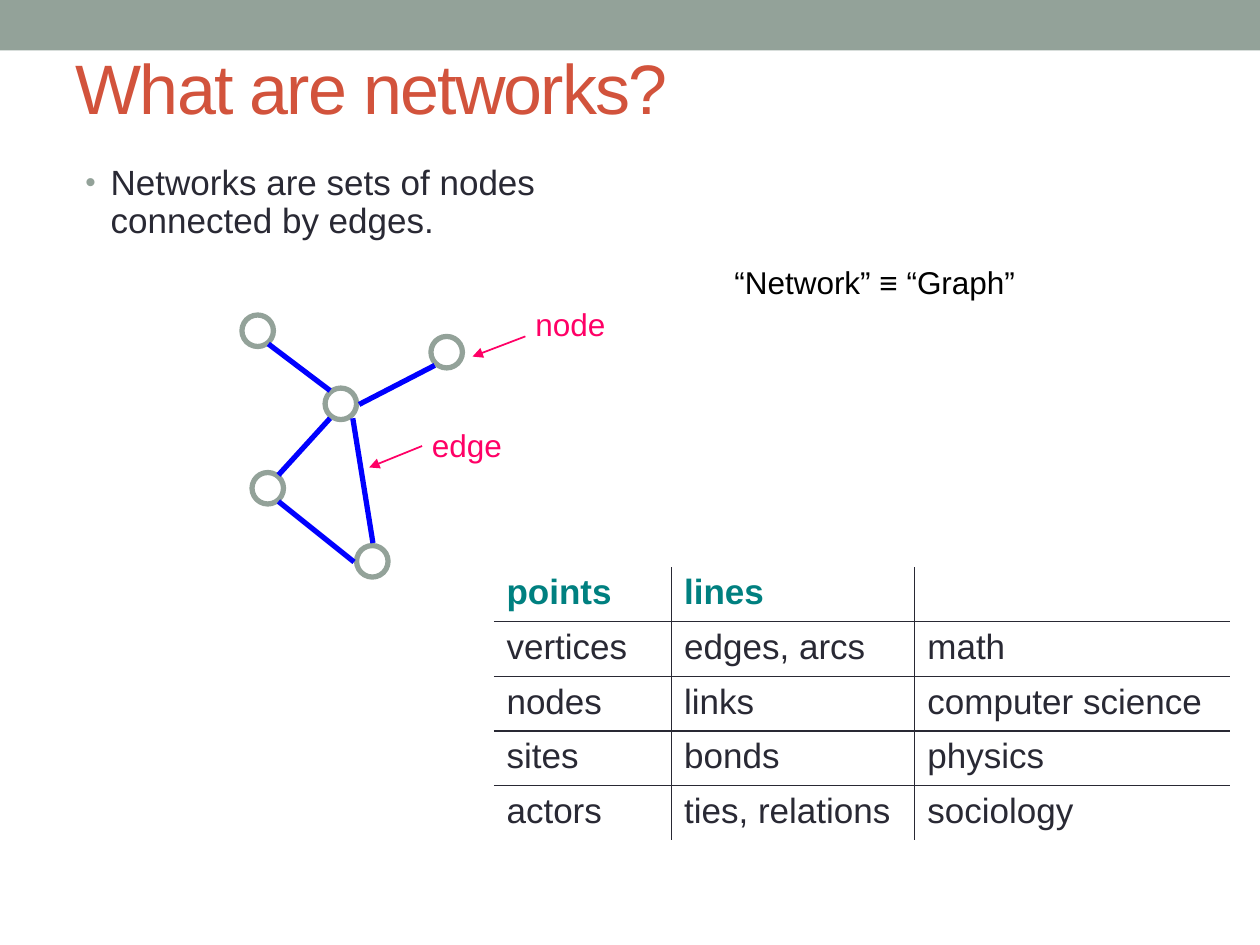
import pptx
import pptx.util
import pptx.dml.color
import pptx.enum.shapes
import pptx.enum.text
import pptx.oxml
import pptx.oxml.ns
from lxml import etree

Inches, Pt = pptx.util.Inches, pptx.util.Pt
Shape = pptx.enum.shapes.MSO_SHAPE
Rgb = pptx.dml.color.RGBColor.from_string
qn = pptx.oxml.ns.qn

theme = {
    "sage": "93A299", "rust": "D2533C", "dark": "292934", "teal": "008080",
    "black": "000000", "blue": "0000FF", "pink": "FF0066",
    "title": 40, "body": 20, "label": 18, "font": "Arial",
}


def put(frame, text, size, hue, bold=False):
    """Write one styled run and return its paragraph."""
    para = frame.paragraphs[0]
    run = para.add_run()
    run.text = text
    style = {"name": theme["font"], "size": Pt(theme[size]), "bold": bold}
    for key, val in style.items():
        setattr(run.font, key, val)
    run.font.color.rgb = Rgb(theme[hue])
    return para


def draw(shapes, start, end, hue, width):
    """Draw a straight line and return its line properties."""
    ends = [Inches(val) for val in (*start, *end)]
    line = shapes.add_connector(pptx.enum.shapes.MSO_CONNECTOR.STRAIGHT, *ends)
    line.line.color.rgb = Rgb(theme[hue])
    line.line.width = Pt(width)
    props = line._element.spPr
    etree.SubElement(props, qn("a:effectLst"))
    return props.find(qn("a:ln"))


deck = pptx.Presentation()
deck.slide_width, deck.slide_height = Inches(10), Inches(7.5)
slide = deck.slides.add_slide(deck.slide_layouts[5])

# Top band
band = slide.shapes.add_shape(Shape.RECTANGLE, 0, 0, Inches(10), Inches(0.4))
band.shadow.inherit = False
band.fill.solid()
band.fill.fore_color.rgb = Rgb(theme["sage"])
band.line.fill.background()

# Title
title = slide.shapes.title
place = {"left": 0.5, "top": 0.3, "width": 9, "height": 0.77}
for key, val in place.items():
    setattr(title, key, Inches(val))
frame = title.text_frame
frame.auto_size = pptx.enum.text.MSO_AUTO_SIZE.NONE
frame.vertical_anchor = pptx.enum.text.MSO_ANCHOR.MIDDLE
para = put(frame, "What are networks?", "title", "rust")
para.alignment = pptx.enum.text.PP_ALIGN.LEFT
para.runs[0].font._element.set("spc", "-100")

# Text boxes: text, left, top, width, height, size, colour, wrap
notes = [
    ("Networks are sets of nodes connected by edges.",
     0.58, 1.26, 4.42, 0.75, "body", "dark", True),
    ("“Network” ≡ “Graph”", 5.73, 2.04, 2.6, 0.4, "label", "black", True),
    ("node", 4.15, 2.37, 0.76, 0.4, "label", "pink", False),
    ("edge", 3.33, 3.33, 0.76, 0.4, "label", "pink", False),
]
for text, *area, size, hue, wrap in notes:
    box = slide.shapes.add_textbox(*[Inches(val) for val in area])
    box.text_frame.word_wrap = wrap
    para = put(box.text_frame, text, size, hue)
    if size == "body":
        para.line_spacing = 0.9
        props = para._p.get_or_add_pPr()
        props.set("marL", str(Inches(0.2)))
        props.set("indent", str(-Inches(0.2)))
        tint = etree.SubElement(props, qn("a:buClr"))
        etree.SubElement(tint, qn("a:srgbClr"), val=theme["sage"])
        etree.SubElement(props, qn("a:buSzPct"), val="85000")
        etree.SubElement(props, qn("a:buFont"), typeface=theme["font"])
        etree.SubElement(props, qn("a:buChar"), char="•")

# Table of terms
rows = [
    ("points", "lines", ""),
    ("vertices", "edges, arcs", "math"),
    ("nodes", "links", "computer science"),
    ("sites", "bonds", "physics"),
    ("actors", "ties, relations", "sociology"),
]
high = 0.41
table = slide.shapes.add_table(
    len(rows), 3, Inches(3.92), Inches(4.5),
    Inches(5.84), Inches(high * len(rows))).table
table.first_row = table.horz_banding = False
for col, width in zip(table.columns, (1.41, 1.93, 2.5)):
    col.width = Inches(width)
for r, row in enumerate(rows):
    table.rows[r].height = Inches(high)
    for c, text in enumerate(row):
        cell = table.cell(r, c)
        if text:
            put(cell.text_frame, text, "body", "dark" if r else "teal", r == 0)
        # Only the inner borders are ruled
        props = cell._tc.get_or_add_tcPr()
        sides = {"a:lnL": c > 0, "a:lnR": c < 2,
                 "a:lnT": r > 0, "a:lnB": r < len(rows) - 1}
        for side, ruled in sides.items():
            edge = etree.SubElement(props, qn(side), w=str(Pt(1)))
            if ruled:
                fill = etree.SubElement(edge, qn("a:solidFill"))
                etree.SubElement(fill, qn("a:srgbClr"), val=theme["dark"])
            else:
                etree.SubElement(edge, qn("a:noFill"))
        cell.fill.background()

# Network: nodes, then edges
net = slide.shapes.add_group_shape().shapes
for x, y in [(2.58, 3.08), (3.42, 2.67), (2, 3.75), (2.83, 4.33), (1.92, 2.5)]:
    node = net.add_shape(
        Shape.OVAL, Inches(x), Inches(y), Inches(0.25), Inches(0.25))
    node.shadow.inherit = False
    node.fill.background()
    node.line.color.rgb = Rgb(theme["sage"])
    node.line.width = Pt(3)
edges = [
    ((2.13, 2.73), (2.62, 3.1)),
    ((2.62, 3.32), (2.21, 3.77)),
    ((2.8, 3.32), (2.96, 4.31)),
    ((2.21, 3.98), (2.81, 4.46)),
    ((2.85, 3.21), (3.45, 2.9)),
]
for start, end in edges:
    draw(net, start, end, "blue", 3)

# Arrows from the labels
for start, end in [((4.17, 2.67), (3.75, 2.83)), ((3.35, 3.54), (2.93, 3.71))]:
    line = draw(slide.shapes, start, end, "pink", 1)
    etree.SubElement(line, qn("a:tailEnd"), type="triangle")

deck.save("out.pptx")
